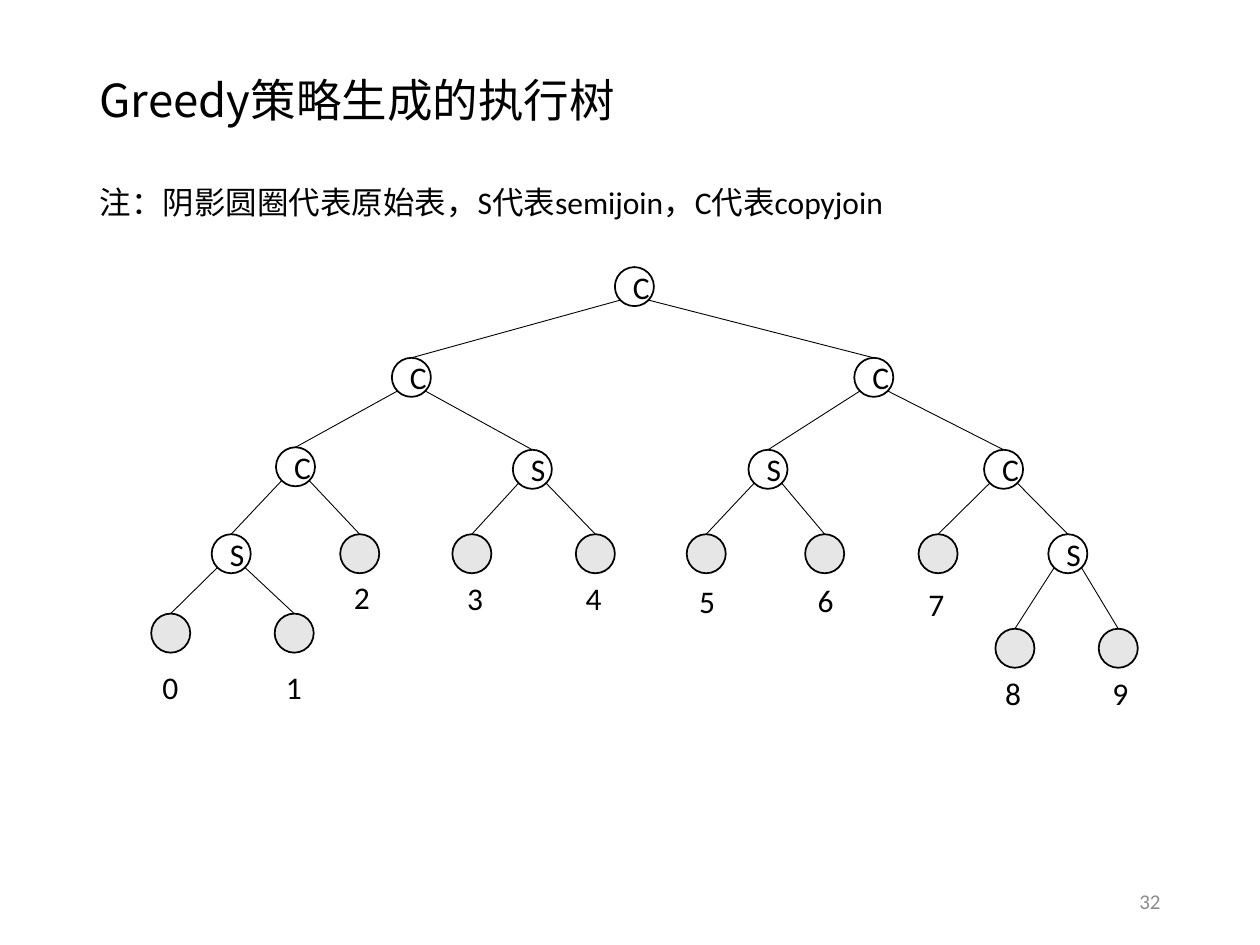
from dataclasses import dataclass
from typing import Optional

from lxml.etree import SubElement
from pptx import Presentation
from pptx.dml.color import RGBColor
from pptx.enum.shapes import MSO_CONNECTOR as Conn, MSO_SHAPE as Kind
from pptx.enum.text import MSO_ANCHOR as Anchor, MSO_AUTO_SIZE as Auto, PP_ALIGN as Align
from pptx.oxml.ns import qn
from pptx.util import Emu, Pt

SCALE = 9144
SIZE = 31
BLACK, WHITE, GREY, DIM = "000000", "FFFFFF", "E7E6E6", "8C8C8C"
SANS, CJK = "Calibri", "Noto Sans CJK SC"


@dataclass
class Node:
    x: int
    y: int
    mark: str = ""
    left: Optional["Node"] = None
    right: Optional["Node"] = None


@dataclass
class Label:
    x: int
    y: int
    text: str


TREE = Node(
    488, 212, "C",
    Node(
        311, 284, "C",
        Node(
            219, 355, "C",
            Node(168, 424, "S", Node(120, 487), Node(218, 487)),
            Node(270, 424),
        ),
        Node(407, 357, "S", Node(359, 424), Node(457, 424)),
    ),
    Node(
        678, 284, "C",
        Node(594, 357, "S", Node(545, 424), Node(639, 424)),
        Node(
            781, 357, "C",
            Node(729, 424),
            Node(832, 424, "S", Node(790, 499), Node(872, 499)),
        ),
    ),
)

SPOTS = [
    (119, 525), (217, 525), (271, 454), (361, 455), (455, 455),
    (545, 457), (639, 456), (727, 459), (788, 530), (873, 530),
]
LABELS = [Label(x, y, str(i)) for i, (x, y) in enumerate(SPOTS)]


def px(n: int) -> Emu:
    return Emu(n * SCALE)


def tint(code: str) -> RGBColor:
    return RGBColor.from_string(code)


def apply(item, form: dict) -> None:
    for key, val in form.items():
        setattr(item, key, val)


def place(item, x: int, y: int, w: int, h: int) -> None:
    apply(item, {"left": px(x), "top": px(y), "width": px(w), "height": px(h)})


def write(shape, text: str, size: int = 18, face: str = SANS, code: str = BLACK,
          align=Align.LEFT, anchor=Anchor.TOP, wrap: bool = True) -> None:
    frame = shape.text_frame
    apply(frame, {"word_wrap": wrap, "auto_size": Auto.NONE, "vertical_anchor": anchor})
    para = frame.paragraphs[0]
    apply(para, {"alignment": align, "space_before": Pt(0)})
    run = para.add_run()
    run.text = text
    apply(run.font, {"size": Pt(size), "name": face})
    run.font.color.rgb = tint(code)
    SubElement(run.font._element, qn("a:ea")).set("typeface", CJK)


def plain(shape) -> None:
    prop = shape.text_frame.paragraphs[0]._p.get_or_add_pPr()
    prop.set("marL", "0")
    prop.set("indent", "0")
    SubElement(prop, qn("a:buNone"))


def circle(slide, node: Node):
    shape = slide.shapes.add_shape(
        Kind.OVAL, px(node.x), px(node.y), px(SIZE), px(SIZE))
    shape.shadow.inherit = False
    shape.fill.solid()
    shape.fill.fore_color.rgb = tint(WHITE if node.mark else GREY)
    shape.line.color.rgb = tint(BLACK)
    shape.line.width = Pt(1)
    if node.mark:
        write(shape, node.mark, align=Align.CENTER, anchor=Anchor.MIDDLE)
    return shape


def edge(slide, x: int, y: int, child) -> None:
    line = slide.shapes.add_connector(Conn.STRAIGHT, px(x), px(y), px(x), px(y))
    line.end_connect(child, 0)
    line.line.color.rgb = tint(BLACK)
    line.line.width = Pt(0.5)
    SubElement(line._element.spPr, qn("a:effectLst"))


def grow(slide, node: Node):
    shape = circle(slide, node)
    for kid, dx in ((node.left, 5), (node.right, SIZE - 5)):
        if kid:
            edge(slide, node.x + dx, node.y + SIZE - 5, grow(slide, kid))
    return shape


def box(slide, x: int, y: int, w: int, h: int, text: str, **form) -> None:
    item = slide.shapes.add_textbox(px(x), px(y), px(w), px(h))
    write(item, text, **form)


def main() -> None:
    deck = Presentation()
    apply(deck, {"slide_width": px(1000), "slide_height": px(750)})
    slide = deck.slides.add_slide(deck.slide_layouts[1])
    title, note = slide.placeholders
    place(title, 69, 52, 648, 64)
    write(title, "Greedy策略生成的执行树", size=26, face=CJK)
    place(note, 69, 140, 648, 72)
    plain(note)
    write(note, "注：阴影圆圈代表原始表，S代表semijoin，C代表copyjoin")
    grow(slide, TREE)
    for label in LABELS:
        box(slide, label.x, label.y, 33, 40, label.text, wrap=False)
    box(slide, 706, 695, 225, 40, "32", size=12, code=DIM,
        align=Align.RIGHT, anchor=Anchor.MIDDLE)
    deck.save("out.pptx")


if __name__ == "__main__":
    main()
